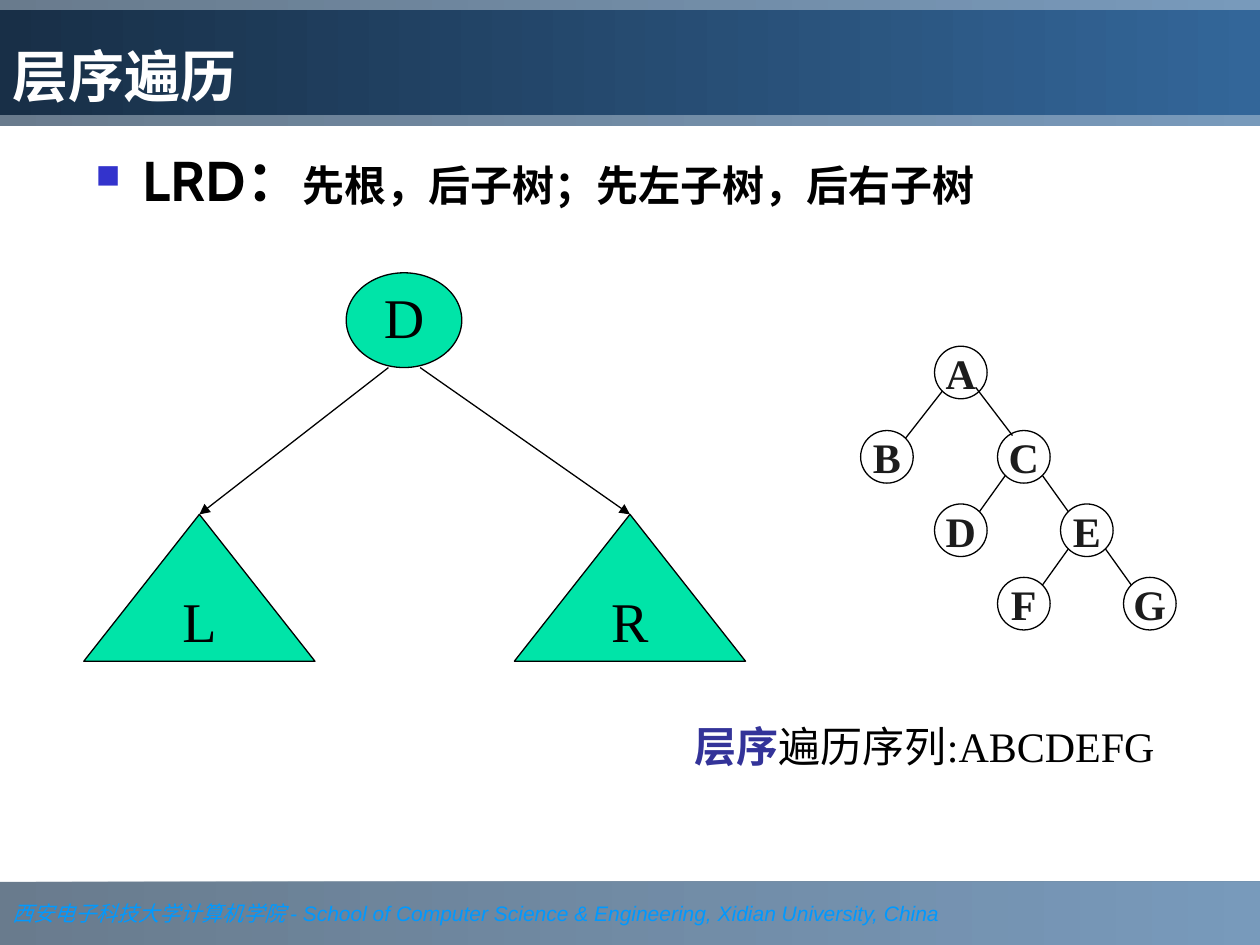
from lxml import etree
from pptx import Presentation
from pptx import util as u
from pptx.dml import color
from pptx.enum import shapes, text
from pptx.oxml import ns

THEME = {
    "dark": "1C3853", "title_dark": "182F47", "light": "336699",
    "black": "000000", "white": "FFFFFF", "node_text": "1C1C1C",
    "footer": "0099FF", "bullet": "3333CC", "accent": "333399", "green": "00E4A8",
    "heading": 32, "text": 24, "small": 12, "line": 0.75,
    "sans": "Cabin", "serif": "Times New Roman", "footer_font": "Arial",
}


def add_run(paragraph, words, colour, **formats):
    run = paragraph.add_run()
    run.text = words
    run.font.color.rgb = color.RGBColor.from_string(THEME[colour])
    for name, value in formats.items():
        setattr(run.font, name, value)


def style(shape, fill=None, gradient=None, alpha=None, line=None):
    """Fill and outline a shape; a connector only gets the outline."""
    if hasattr(shape, "fill"):
        shape.shadow.inherit = False
        if gradient:
            shape.fill.gradient()
            shape.fill.gradient_angle = 0
            for stop, name, position in zip(shape.fill.gradient_stops, gradient, (0, 1)):
                stop.color.rgb = color.RGBColor.from_string(THEME[name])
                stop.position = position
            if alpha:
                for element in shape.element.spPr.iter(ns.qn("a:srgbClr")):
                    etree.SubElement(element, ns.qn("a:alpha"), val=str(alpha * 1000))
        elif fill:
            shape.fill.solid()
            shape.fill.fore_color.rgb = color.RGBColor.from_string(THEME[fill])
        else:
            shape.fill.background()
    if line:
        shape.line.color.rgb = color.RGBColor.from_string(THEME[line])
        shape.line.width = u.Pt(THEME["line"])
    else:
        shape.line.fill.background()
    if not hasattr(shape, "fill"):
        etree.SubElement(shape.element.spPr, ns.qn("a:effectLst"))


heading, body, small = (u.Pt(THEME[name]) for name in ("heading", "text", "small"))
presentation = Presentation()
presentation.slide_width, presentation.slide_height = u.Cm(25.4), u.Cm(19.05)
slide = presentation.slides.add_slide(presentation.slide_layouts[5])

# Footer and header bands
bands = []
for top, height in ((17.78, 1.27), (0, 2.54)):
    band = slide.shapes.add_shape(shapes.MSO_SHAPE.RECTANGLE, 0, u.Cm(top), u.Cm(25.4), u.Cm(height))
    style(band, gradient=("dark", "light"), alpha=66)
    bands.append(band)
footer = bands[0].text_frame
footer.word_wrap = True
footer.vertical_anchor = text.MSO_ANCHOR.MIDDLE
paragraph = footer.paragraphs[0]
paragraph.alignment = text.PP_ALIGN.LEFT
for words, font in (
    ("西安电子科技大学计算机学院 ", "serif"),
    ("- School of Computer Science & Engineering, Xidian University, China", "footer_font"),
):
    add_run(paragraph, words, "footer", size=small, name=THEME[font], italic=True)

# Title, brought in front of the header band
title = slide.shapes.title
title.left, title.top, title.width, title.height = 0, u.Cm(0.21), u.Cm(25.4), u.Cm(2.11)
style(title, gradient=("title_dark", "light"))
for name, value in {"vertical_anchor": text.MSO_ANCHOR.BOTTOM, "word_wrap": True,
                    "auto_size": text.MSO_AUTO_SIZE.NONE}.items():
    setattr(title.text_frame, name, value)
paragraph = title.text_frame.paragraphs[0]
paragraph.alignment = text.PP_ALIGN.LEFT
add_run(paragraph, "层序遍历", "white", size=heading, name=THEME["sans"], bold=True)
bands[1].element.addnext(title.element)

# Bulleted rule
rule = slide.shapes.add_textbox(u.Cm(1.68), u.Cm(2.97), u.Cm(22.86), u.Cm(1.55))
rule.text_frame.word_wrap = True
paragraph = rule.text_frame.paragraphs[0]
paragraph.line_spacing = 0.9
properties = paragraph._p.get_or_add_pPr()
properties.set("marL", str(u.Cm(0.95)))
properties.set("indent", str(-u.Cm(0.95)))
bullet_colour = etree.SubElement(properties, ns.qn("a:buClr"))
etree.SubElement(bullet_colour, ns.qn("a:srgbClr"), val=THEME["bullet"])
etree.SubElement(properties, ns.qn("a:buSzPct"), val="60000")
etree.SubElement(properties, ns.qn("a:buChar"), char="■")
for words, size in (("LRD：", heading), ("先根，后子树；先左子树，后右子树", body)):
    add_run(paragraph, words, "black", size=size, name=THEME["sans"], bold=True)

# Root with its left and right subtrees
OVAL, TRIANGLE = shapes.MSO_SHAPE.OVAL, shapes.MSO_SHAPE.ISOSCELES_TRIANGLE
parts = {}
for label, kind, left, top, width, height in (
    ("D", OVAL, 6.98, 5.5, 2.33, 1.91),
    ("L", TRIANGLE, 1.69, 10.37, 4.66, 2.96),
    ("R", TRIANGLE, 10.37, 10.37, 4.66, 2.96),
):
    shape = slide.shapes.add_shape(kind, u.Cm(left), u.Cm(top), u.Cm(width), u.Cm(height))
    style(shape, fill="green", line="black")
    shape.text_frame.word_wrap = False
    shape.text_frame.vertical_anchor = text.MSO_ANCHOR.MIDDLE
    paragraph = shape.text_frame.paragraphs[0]
    paragraph.alignment = text.PP_ALIGN.CENTER
    paragraph.line_spacing = 0.9
    add_run(paragraph, label, "black", size=heading, name=THEME["serif"])
    parts[label] = shape

for label, start in (("L", 7.83), ("R", 8.47)):
    arrow = slide.shapes.add_connector(
        shapes.MSO_CONNECTOR.STRAIGHT, u.Cm(start), u.Cm(7.41), u.Cm(start), u.Cm(10.37))
    arrow.end_connect(parts[label], 0)
    style(arrow, line="black")
    etree.SubElement(arrow.line._get_or_add_ln(), ns.qn("a:tailEnd"), type="triangle")

# Example tree: node centres, and edges meeting the circles on their diagonals
DIAMETER, REACH = 1.06, 0.37
nodes = {"A": (19.37, 7.51), "B": (17.88, 9.21), "C": (20.64, 9.21), "D": (19.37, 10.69),
         "E": (21.91, 10.69), "F": (20.64, 12.17), "G": (23.18, 12.17)}
edges = ("AB", "AC", "CD", "CE", "EF", "EG")
end_shifts = {"AC": (-0.07, -0.07, 0.14, -0.06)}
tree = slide.shapes.add_group_shape()
for label, (x, y) in nodes.items():
    node = tree.shapes.add_shape(
        OVAL, u.Cm(x - DIAMETER / 2), u.Cm(y - DIAMETER / 2), u.Cm(DIAMETER), u.Cm(DIAMETER))
    style(node, line="black")
    node.text_frame.word_wrap = False
    node.text_frame.vertical_anchor = text.MSO_ANCHOR.MIDDLE
    paragraph = node.text_frame.paragraphs[0]
    paragraph.alignment = text.PP_ALIGN.CENTER
    add_run(paragraph, label, "node_text", size=body, name=THEME["serif"], bold=True)
for edge in edges:
    (x1, y1), (x2, y2) = nodes[edge[0]], nodes[edge[1]]
    side = REACH if x2 > x1 else -REACH
    ends = (x1 + side, y1 + REACH, x2 - side, y2 - REACH)
    shifts = end_shifts.get(edge, (0, 0, 0, 0))
    line = tree.shapes.add_connector(
        shapes.MSO_CONNECTOR.STRAIGHT, *(u.Cm(end + shift) for end, shift in zip(ends, shifts)))
    style(line, line="black")

# Resulting sequence
result = slide.shapes.add_textbox(u.Cm(13.76), u.Cm(14.39), u.Cm(11.64), u.Cm(1.27))
result.text_frame.word_wrap = True
paragraph = result.text_frame.paragraphs[0]
add_run(paragraph, "层序", "accent", size=body, name=THEME["serif"], bold=True)
add_run(paragraph, "遍历序列:ABCDEFG", "black", size=body, name=THEME["serif"])

presentation.save("out.pptx")
